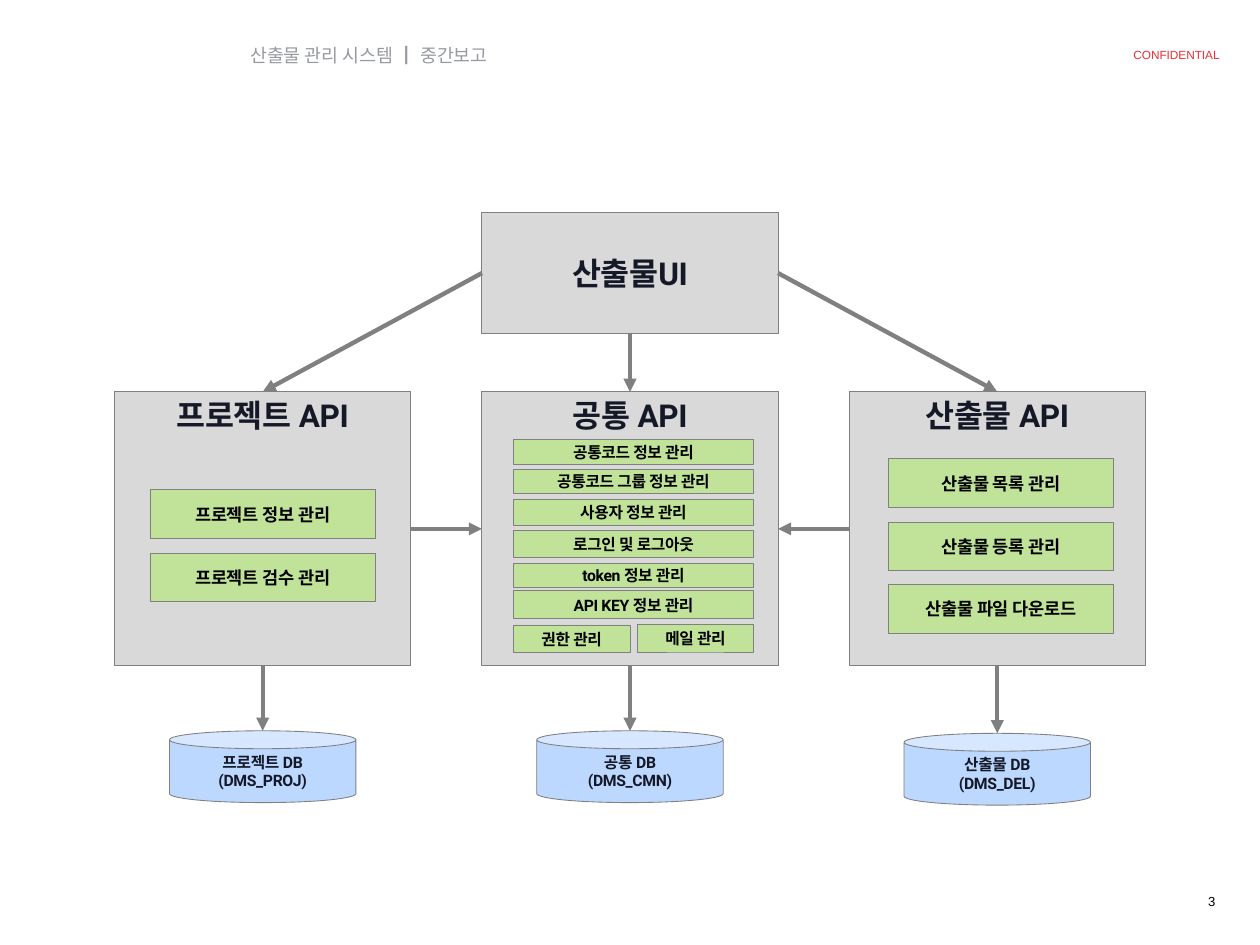
from lxml import etree
from pptx import Presentation
from pptx.dml.color import RGBColor
from pptx.enum.shapes import MSO_CONNECTOR, MSO_SHAPE
from pptx.enum.text import MSO_ANCHOR, PP_ALIGN
from pptx.oxml.ns import qn
from pptx.util import Inches, Pt

WHITE = RGBColor(0xFF, 0xFF, 0xFF)
BLACK = RGBColor(0x00, 0x00, 0x00)
INK = RGBColor(0x15, 0x18, 0x26)
GRAY = RGBColor(0x80, 0x80, 0x80)
PANEL = RGBColor(0xD9, 0xD9, 0xD9)
GREEN = RGBColor(0xC0, 0xE3, 0x99)
BLUE = RGBColor(0xBD, 0xD8, 0xFF)
RED = RGBColor(0xE2, 0x31, 0x37)
TITLE_GRAY = RGBColor(0x98, 0x9A, 0xA2)

TOP, LEFT, BOTTOM, RIGHT = range(4)
PANEL_W, PANEL_H, PANEL_Y = 4.7, 4.35, 6.22
DB_W, DB_H = 2.96, 1.14

prs = Presentation()
prs.slide_width, prs.slide_height = Inches(20), Inches(15)
s = prs.slides.add_slide(prs.slide_layouts[6])
s.background.fill.solid()
s.background.fill.fore_color.rgb = WHITE


def set_text(sp, text, font, size, color, align, inset, anchor=MSO_ANCHOR.MIDDLE):
    tf = sp.text_frame
    tf.text = text
    tf.word_wrap = True
    tf.vertical_anchor = anchor
    tf.margin_left = tf.margin_right = Inches(inset)
    tf.margin_top = tf.margin_bottom = Inches(inset)
    for p in tf.paragraphs:
        p.alignment = align
        for r in p.runs:
            r.font.name = font
            r.font.size = Pt(size)
            r.font.color.rgb = color
            etree.SubElement(r.font._element, qn("a:ea"), typeface=font)


def add_block(kind, x, y, w, h, fill, text, size, color, anchor=MSO_ANCHOR.MIDDLE):
    """Add an outlined shape with bold, slightly tightened text."""
    sp = s.shapes.add_shape(kind, Inches(x), Inches(y), Inches(w), Inches(h))
    sp.shadow.inherit = False
    sp.fill.solid()
    sp.fill.fore_color.rgb = fill
    sp.line.color.rgb = GRAY
    sp.line.width = Pt(1)
    set_text(sp, text, "Roboto", size, color, PP_ALIGN.CENTER, 0.06, anchor)
    for p in sp.text_frame.paragraphs:
        for r in p.runs:
            r.font.bold = True
            r.font._element.set("spc", "-40")
    return sp


# Header and page number
labels = [
    (17.4, 0.72, 2, 0.29, "CONFIDENTIAL", "Arial", 13.5, RED, PP_ALIGN.RIGHT, 0.04),
    (3.93, 0.65, 13.25, 0.44, "산출물 관리 시스템 ┃ 중간보고", "Noto Sans CJK KR", 21,
     TITLE_GRAY, PP_ALIGN.LEFT, 0.04),
    (15.95, 14.15, 3.44, 0.32, "3", "Arial", 15, BLACK, PP_ALIGN.RIGHT, 0.1),
]
for x, y, w, h, *style in labels:
    set_text(s.shapes.add_textbox(Inches(x), Inches(y), Inches(w), Inches(h)), *style)

# UI, API panels and databases
ui = add_block(MSO_SHAPE.RECTANGLE, 7.65, 3.37, PANEL_W, 1.93, PANEL, "산출물UI", 36, INK)

columns = [
    (4.17, "프로젝트 API", "프로젝트 DB\n(DMS_PROJ)", 11.6),
    (10, "공통 API", "공통 DB\n(DMS_CMN)", 11.6),
    (15.83, "산출물 API", "산출물 DB\n(DMS_DEL)", 11.64),
]
panels = []
for center, api, db, db_y in columns:
    panels.append(add_block(MSO_SHAPE.RECTANGLE, center - PANEL_W / 2, PANEL_Y, PANEL_W,
                            PANEL_H, PANEL, api, 36, INK, MSO_ANCHOR.TOP))
    add_block(MSO_SHAPE.CAN, center - DB_W / 2, db_y, DB_W, DB_H, BLUE, db, 18, INK)

# Functions inside each panel: left, width, text size, then (text, top, height)
functions = [
    (2.38, 3.58, 20, [("프로젝트 정보 관리", 7.77, 0.78), ("프로젝트 검수 관리", 8.79, 0.76)]),
    (8.15, 3.81, 18, [("공통코드 정보 관리", 6.98, 0.39), ("공통코드 그룹 정보 관리", 7.45, 0.39),
                      ("사용자 정보 관리", 7.92, 0.42), ("로그인 및 로그아웃", 8.42, 0.43),
                      ("token 정보 관리", 8.95, 0.37), ("API KEY 정보 관리", 9.38, 0.44)]),
    (8.15, 1.85, 18, [("권한 관리", 9.92, 0.44)]),
    (10.12, 1.84, 18, [("메일 관리", 9.91, 0.44)]),
    (14.1, 3.58, 20, [("산출물 목록 관리", 7.28, 0.78), ("산출물 등록 관리", 8.3, 0.76),
                      ("산출물 파일 다운로드", 9.27, 0.78)]),
]
for x, w, size, rows in functions:
    for text, y, h in rows:
        add_block(MSO_SHAPE.RECTANGLE, x, y, w, h, GREEN, text, size, BLACK)

# Arrows: from box and side, to box and side (no box: straight down to the database)
project, common, output = panels
arrows = [
    (ui, BOTTOM, common, TOP),
    (ui, LEFT, project, TOP),
    (ui, RIGHT, output, TOP),
    (project, RIGHT, common, LEFT),
    (output, LEFT, common, RIGHT),
]
arrows += [(panel, BOTTOM, None, None) for panel in panels]
db_ends = {panel.shape_id: (col[0], col[3]) for panel, col in zip(panels, columns)}
for start, side, end, end_side in arrows:
    x, y = db_ends.get(start.shape_id, (10, PANEL_Y))
    line = s.shapes.add_connector(MSO_CONNECTOR.STRAIGHT, Inches(x), Inches(y),
                                  Inches(x), Inches(y))
    line.begin_connect(start, side)
    if end is not None:
        line.end_connect(end, end_side)
    line.line.color.rgb = GRAY
    line.line.width = Pt(5)
    etree.SubElement(line.line._get_or_add_ln(), qn("a:tailEnd"), type="triangle")
    etree.SubElement(line._element.spPr, qn("a:effectLst"))

prs.save("out.pptx")
